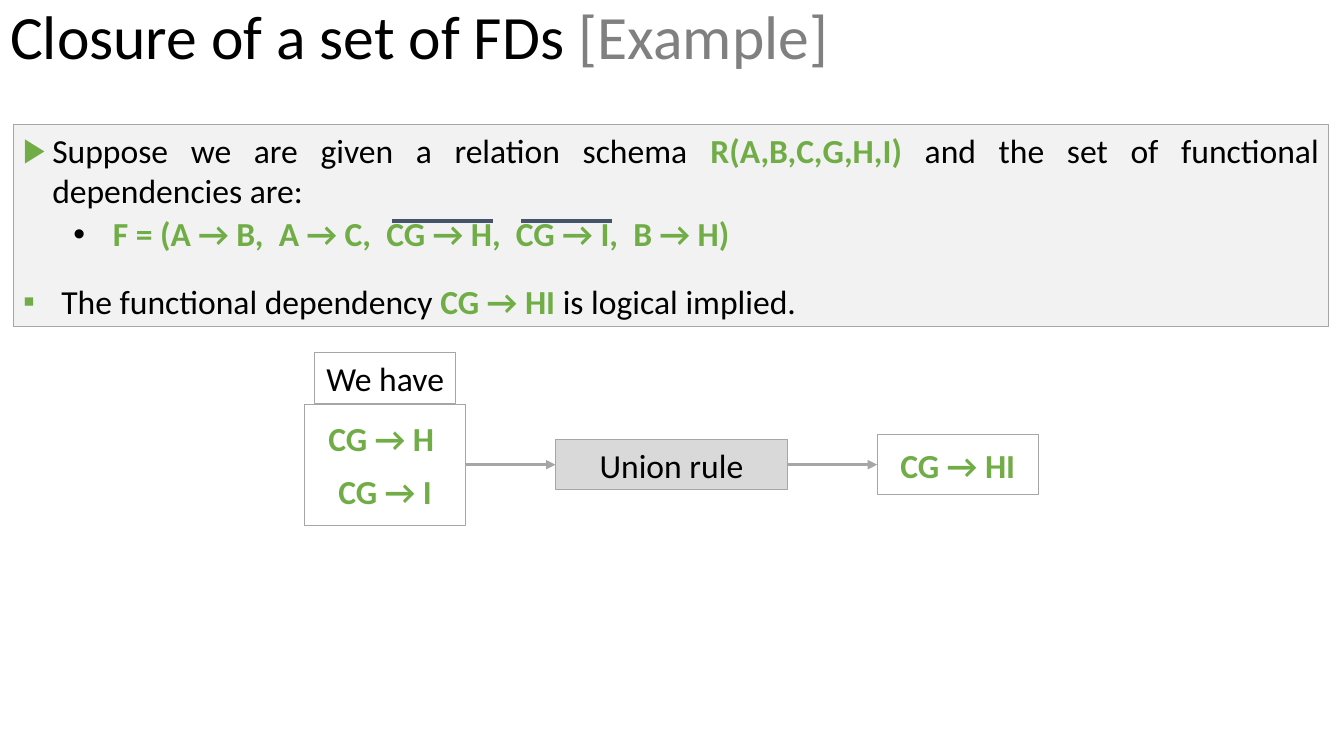
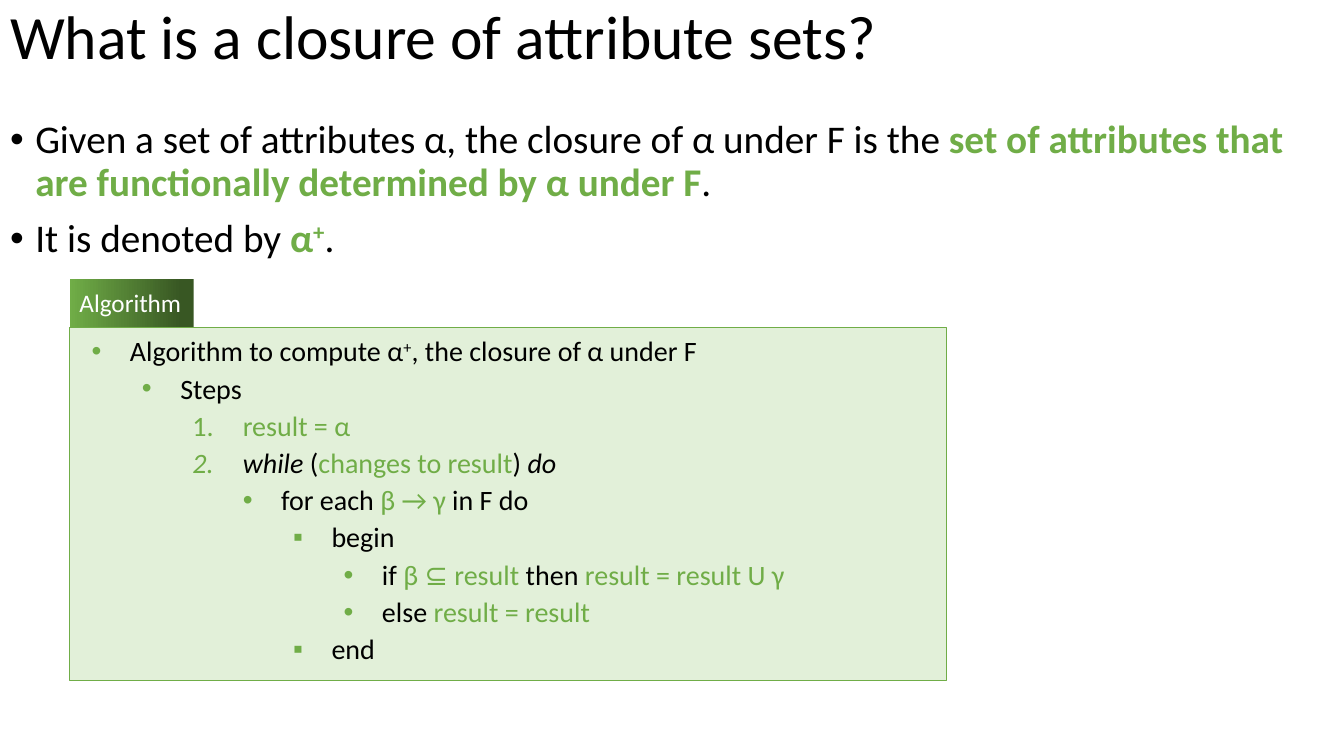
"""Builds two slides on the closure of functional dependencies and attribute sets."""
from lxml.etree import SubElement
from pptx import Presentation
from pptx.dml.color import RGBColor
from pptx.enum.shapes import MSO_CONNECTOR, MSO_SHAPE
from pptx.enum.text import MSO_ANCHOR, MSO_AUTO_SIZE, PP_ALIGN
from pptx.oxml.ns import qn
from pptx.util import Inches, Pt

COLORS = {
    "black": "000000", "white": "FFFFFF", "gray": "808080", "green": "70AD47",
    "dark green": "385723", "pale green": "E2F0D9", "border": "A6A6A6",
    "panel": "F2F2F2", "rule": "D9D9D9", "slate": "44546A",
}
RGB = {name: RGBColor.from_string(value) for name, value in COLORS.items()}
STYLES = {
    "plain": {"bold": False, "italic": False},
    "bold": {"bold": True, "italic": False},
    "italic": {"bold": False, "italic": True},
    "super": {"bold": False, "italic": False},
    "bold super": {"bold": True, "italic": False},
}


def write(box, size, paragraphs, anchor=MSO_ANCHOR.TOP):
    """Fill a shape with paragraphs of (format, bullet, spans)."""
    frame = box.text_frame
    for name, value in {"word_wrap": True, "auto_size": MSO_AUTO_SIZE.NONE,
                        "vertical_anchor": anchor}.items():
        setattr(frame, name, value)
    for index, (layout, bullet, spans) in enumerate(paragraphs):
        para = frame.add_paragraph() if index else frame.paragraphs[0]
        for name, value in layout.items():
            setattr(para, name, value)
        if bullet:
            mark, color, left, hanging = bullet
            properties = para._p.get_or_add_pPr()
            properties.set("marL", str(Inches(left)))
            properties.set("indent", str(-Inches(hanging)))
            tint = SubElement(properties, qn("a:buClr"))
            SubElement(tint, qn("a:srgbClr"), val=COLORS[color])
            SubElement(properties, qn("a:buFont"), typeface="Calibri" if mark == "1." else "Arial")
            if mark == "1.":
                SubElement(properties, qn("a:buAutoNum"), type="arabicPeriod")
            else:
                SubElement(properties, qn("a:buChar"), char=mark)
        for text, color, style in spans:
            span = para.add_run()
            span.text = text
            for name, value in {"name": "Calibri", "size": Pt(size), **STYLES[style]}.items():
                setattr(span.font, name, value)
            span.font.color.rgb = RGB[color]
            if "super" in style:
                span._r.get_or_add_rPr().set("baseline", "30000")


def add_box(page, place, fill=None, line=None, width=0.75, kind=MSO_SHAPE.RECTANGLE):
    """Add a flat shape with an optional fill and outline."""
    box = page.shapes.add_shape(kind, *map(Inches, place))
    box.shadow.inherit = False
    if fill:
        box.fill.solid()
        box.fill.fore_color.rgb = RGB[fill]
    else:
        box.fill.background()
    if line:
        box.line.color.rgb = RGB[line]
        box.line.width = Pt(width)
    else:
        box.line.fill.background()
    return box


deck = Presentation()
deck.slide_width, deck.slide_height = Inches(13.33), Inches(7.5)

TITLES = [
    (5, [("Closure of a set of FDs ", "black", "plain"), ("[Example]", "gray", "plain")]),
    (1, [("What is a closure of attribute sets?", "black", "plain")]),
]
pages = []
for layout_index, spans in TITLES:
    page = deck.slides.add_slide(deck.slide_layouts[layout_index])
    title = page.shapes.title
    title.left, title.top, title.width, title.height = map(Inches, (0, 0, 13.33, 0.78))
    write(title, 44, [({"alignment": PP_ALIGN.LEFT, "line_spacing": 0.9}, None, spans)],
          MSO_ANCHOR.MIDDLE)
    pages.append(page)
example, closure = pages

JUSTIFIED = {"alignment": PP_ALIGN.JUSTIFY, "space_before": Pt(5), "line_spacing": 0.9}
schema = add_box(example, (0.13, 1.24, 13.05, 2), "panel", "border")
write(schema, 24, [
    ({**JUSTIFIED, "space_before": Pt(18), "line_spacing": 1.0}, ("▶", "green", 0.29, 0.29), [
        ("Suppose we are given a relation schema ", "black", "plain"),
        ("R(A,B,C,G,H,I)", "green", "bold"),
        (" and the set of functional dependencies are:", "black", "plain")]),
    ({**JUSTIFIED, "level": 1}, ("•", "black", 0.89, 0.39), [
        ("F = (A → B,  A → C,  CG → H,  CG → I,  B → H)", "green", "bold")]),
    ({**JUSTIFIED, "level": 1, "line_spacing": 1.5}, ("▪", "green", 0.38, 0.38), [
        ("The functional dependency ", "black", "plain"),
        ("CG → HI ", "green", "bold"),
        ("is logical implied.", "black", "plain")]),
])

DIAGRAM = {
    "given": ((3.02, 4.01, 1.6, 1.2), None, ["CG → H ", "CG → I"], "green", "bold", 9),
    "heading": ((3.12, 3.5, 1.4, 0.5), None, ["We have"], "black", "plain", 0),
    "rule": ((5.51, 4.36, 2.3, 0.5), "rule", ["Union rule"], "black", "plain", 0),
    "result": ((8.7, 4.31, 1.6, 0.6), None, ["CG → HI"], "green", "bold", 9),
}
boxes = {}
for name, (place, fill, lines, color, style, before) in DIAGRAM.items():
    boxes[name] = add_box(example, place, fill, "border")
    centered = {"alignment": PP_ALIGN.CENTER, "space_before": Pt(before)}
    write(boxes[name], 24, [(centered, None, [(text, color, style)]) for text in lines],
          MSO_ANCHOR.MIDDLE)

LINES = [
    (4.62, 5.51, 4.61, "border", 2.25, ("given", "rule")),
    (7.81, 8.7, 4.61, "border", 2.25, ("rule", "result")),
    (3.89, 4.89, 2.19, "slate", 3, None),
    (5.17, 6.07, 2.19, "slate", 3, None),
]
for start, end, height, color, width, joined in LINES:
    line = example.shapes.add_connector(
        MSO_CONNECTOR.STRAIGHT, *map(Inches, (start, height, end, height)))
    line.line.color.rgb = RGB[color]
    line.line.width = Pt(width)
    SubElement(line._element.spPr, qn("a:effectLst"))
    if joined:
        line.begin_connect(boxes[joined[0]], 3)
        line.end_connect(boxes[joined[1]], 1)
        SubElement(line.line._get_or_add_ln(), qn("a:tailEnd"), type="triangle")

body = closure.placeholders[1]
body.left, body.top, body.width, body.height = map(Inches, (0, 1.14, 13.05, 5.92))
LISTED = {"space_before": Pt(10), "line_spacing": 0.9}
DOT = ("•", "black", 0.25, 0.25)
write(body, 28, [
    (LISTED, DOT, [
        ("Given a set of attributes α, the closure of α under F is the ", "black", "plain"),
        ("set of attributes that are functionally determined by α under F", "green", "bold"),
        (".", "black", "plain")]),
    (LISTED, DOT, [
        ("It is denoted by ", "black", "plain"), ("α", "green", "bold"),
        ("+", "green", "bold super"), (".", "black", "plain")]),
])

STEPS = [
    (1, "•", 0.5, [("Algorithm to compute α", "black", "plain"), ("+", "black", "super"),
                   (", the closure of α under F", "black", "plain")]),
    (2, "•", 1, [("Steps", "black", "plain")]),
    (3, "1.", 1.62, [("result = α", "green", "plain")]),
    (3, "1.", 1.62, [("while", "black", "italic"), (" (", "black", "plain"),
                     ("changes to result", "green", "plain"), (") ", "black", "plain"),
                     ("do", "black", "italic")]),
    (4, "•", 2, [("for each ", "black", "plain"), ("β → γ", "green", "plain"),
                 (" in F do", "black", "plain")]),
    (5, "▪", 2.5, [("begin", "black", "plain")]),
    (6, "•", 3, [("if ", "black", "plain"), ("β ⊆ result ", "green", "plain"),
                 ("then ", "black", "plain"), ("result = result U γ", "green", "plain")]),
    (6, "•", 3, [("else ", "black", "plain"), ("result = result", "green", "plain")]),
    (5, "▪", 2.5, [("end", "black", "plain")]),
]
algorithm = add_box(closure, (0.69, 3.25, 8.7, 3.5), "pale green", "green", 1,
                    MSO_SHAPE.ROUNDED_RECTANGLE)
algorithm.adjustments[0] = 0
for side in ("left", "top", "right", "bottom"):
    setattr(algorithm.text_frame, f"margin_{side}", Inches(0.1))
write(algorithm, 20, [
    ({**JUSTIFIED, "level": level}, (mark, "green", left, 0.5 if mark == "1." else 0.38), spans)
    for level, mark, left, spans in STEPS])

tab = add_box(closure, (0.69, 2.77, 1.23, 0.47), kind=MSO_SHAPE.ROUNDED_RECTANGLE)
tab.adjustments[0] = 0
tab.fill.gradient()
tab.fill.gradient_angle = 180
for stop, (position, color) in zip(tab.fill.gradient_stops, [(0.1, "dark green"), (1, "green")]):
    stop.position = position
    stop.color.rgb = RGB[color]
write(tab, 18, [({"alignment": PP_ALIGN.LEFT}, None, [("Algorithm", "white", "plain")])],
      MSO_ANCHOR.MIDDLE)

deck.save("out.pptx")
